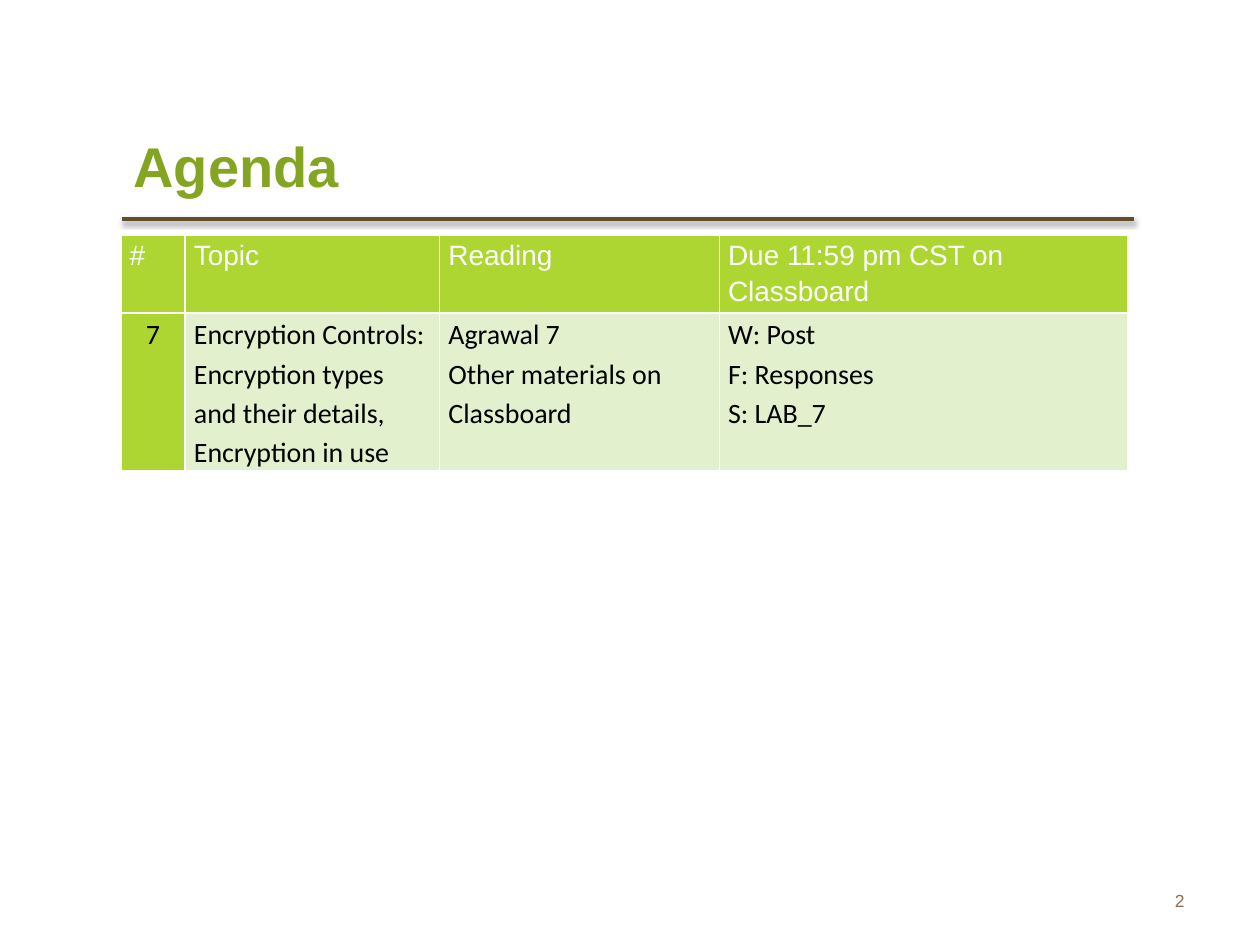
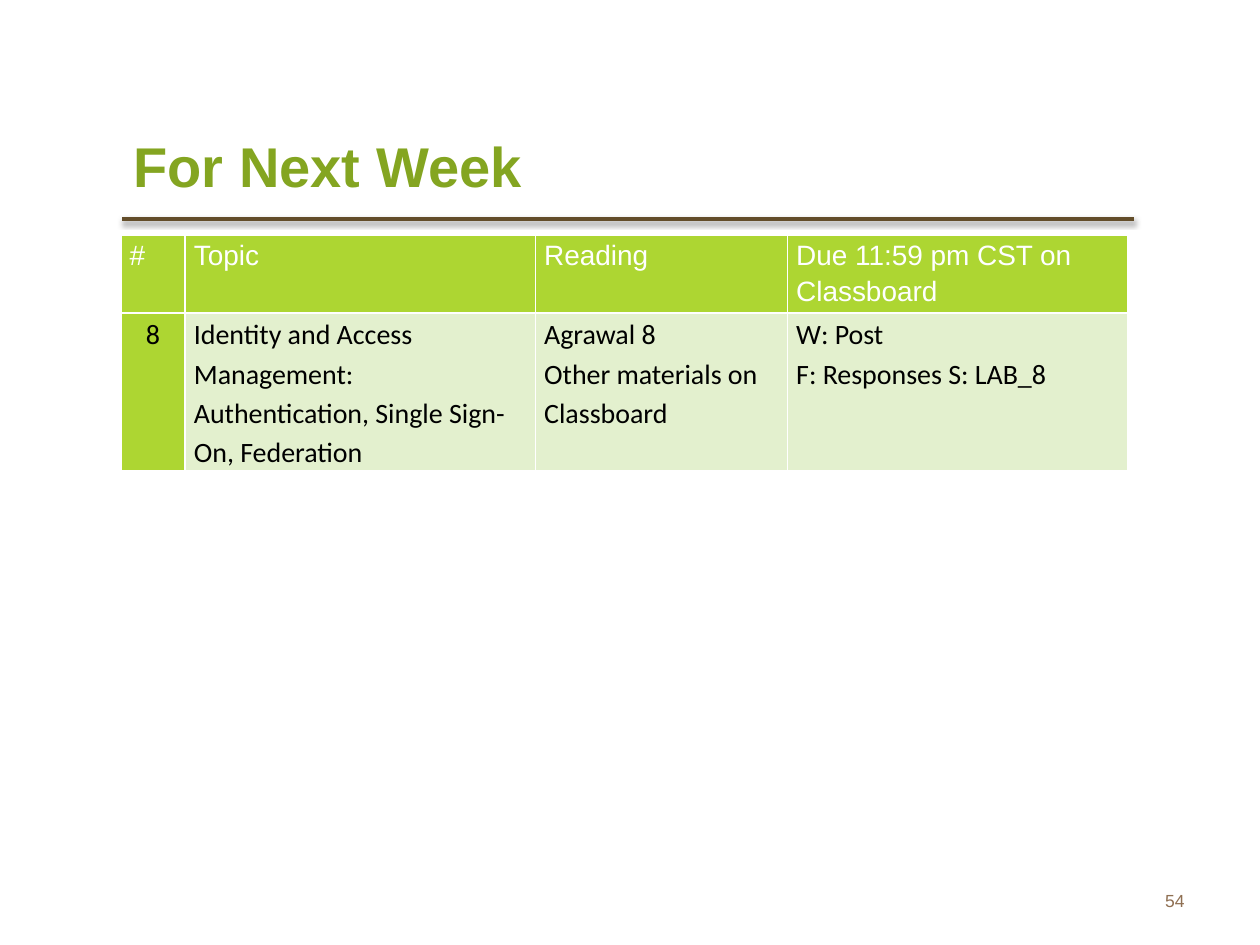
from lxml.etree import SubElement
from pptx import Presentation
from pptx.dml.color import RGBColor
from pptx.enum.shapes import MSO_CONNECTOR
from pptx.enum.text import MSO_ANCHOR, PP_ALIGN
from pptx.oxml import parse_xml
from pptx.oxml.ns import nsdecls, qn
from pptx.util import Inches, Pt

WHITE = RGBColor(0xFF, 0xFF, 0xFF)
BLACK = RGBColor(0x00, 0x00, 0x00)
LIME = RGBColor(0xAD, 0xD6, 0x32)
PALE = RGBColor(0xE3, 0xF0, 0xCE)
GREEN = RGBColor(0x84, 0xA5, 0x21)
BROWN = RGBColor(0x63, 0x4D, 0x2A)
TAN = RGBColor(0x8F, 0x6F, 0x52)

LEFT = Inches(0.96)
ROWS = [0.56, 1.25]
HEADS = ["#", "Topic", "Reading", "Due 11:59 pm CST on Classboard"]
SHADOW = f"""<a:effectLst {nsdecls("a")}>
  <a:outerShdw blurRad="{Pt(3.1)}" dist="{Pt(1.6)}" dir="5400000" rotWithShape="0">
    <a:srgbClr val="000000"><a:alpha val="38000"/></a:srgbClr>
  </a:outerShdw>
</a:effectLst>"""

# title, page number, column widths, week row
WEEKS = [
    ("Agenda", 2, [0.51, 2.02, 2.22, 3.24],
     ["7",
      "Encryption Controls: Encryption types and their details, Encryption in use",
      "Agrawal 7\nOther materials on Classboard",
      "W: Post\nF: Responses\nS: LAB_7"]),
    ("For Next Week", 54, [0.51, 2.78, 2, 2.7],
     ["8",
      "Identity and Access Management: Authentication, Single Sign-On, Federation",
      "Agrawal 8\nOther materials on Classboard",
      "W: Post\nF: Responses S: LAB_8"]),
]


def style(frame, name, size, color, align=PP_ALIGN.LEFT, bold=False, space=None):
    for para in frame.paragraphs:
        para.alignment = align
        para.line_spacing = space
        for run in para.runs:
            run.font.name = name
            run.font.size = Pt(size)
            run.font.bold = bold
            run.font.color.rgb = color


def border(cell, color, width):
    props = cell._tc.get_or_add_tcPr()
    for side in ("a:lnL", "a:lnR", "a:lnT", "a:lnB"):
        line = SubElement(props, qn(side), w=str(Pt(width)))
        fill = SubElement(line, qn("a:solidFill"))
        SubElement(fill, qn("a:srgbClr"), val=str(color))


deck = Presentation()
deck.slide_width = Inches(10)
deck.slide_height = Inches(7.5)

for heading, page, widths, week in WEEKS:
    slide = deck.slides.add_slide(deck.slide_layouts[5])

    rule = slide.shapes.add_connector(
        MSO_CONNECTOR.STRAIGHT, Inches(0.97), Inches(1.74), Inches(9), Inches(1.74))
    rule.line.color.rgb = BROWN
    rule.line.width = Pt(2)
    rule._element.spPr.append(parse_xml(SHADOW))

    title = slide.shapes.title
    title.left, title.top = LEFT, Inches(0.86)
    title.width, title.height = Inches(5.77), Inches(0.9)
    title.text_frame.text = heading
    title.text_frame.vertical_anchor = MSO_ANCHOR.MIDDLE
    style(title.text_frame, "Arial", 32, GREEN, bold=True)

    number = slide.shapes.add_textbox(
        Inches(7.17), Inches(6.95), Inches(2.33), Inches(0.4)).text_frame
    number.text = str(page)
    number.word_wrap = True
    number.vertical_anchor = MSO_ANCHOR.MIDDLE
    style(number, "Arial", 10, TAN, PP_ALIGN.RIGHT)

    table = slide.shapes.add_table(
        len(ROWS), len(widths), LEFT, Inches(1.87),
        Inches(sum(widths)), Inches(sum(ROWS))).table
    for column, width in zip(table.columns, widths):
        column.width = Inches(width)
    for r, (height, texts) in enumerate(zip(ROWS, [HEADS, week])):
        table.rows[r].height = Inches(height)
        for c, text in enumerate(texts):
            cell = table.cell(r, c)
            cell.margin_left = cell.margin_right = Inches(0.07)
            cell.margin_top = cell.margin_bottom = 0
            border(cell, WHITE, 1)
            cell.fill.solid()
            cell.fill.fore_color.rgb = LIME if r == 0 or c == 0 else PALE
            cell.text_frame.text = text
            if r == 0:
                style(cell.text_frame, "Arial", 16, WHITE, space=1.15)
            else:
                align = PP_ALIGN.CENTER if c == 0 else PP_ALIGN.LEFT
                style(cell.text_frame, "Calibri", 16, BLACK, align, space=1.15)

deck.save("out.pptx")
